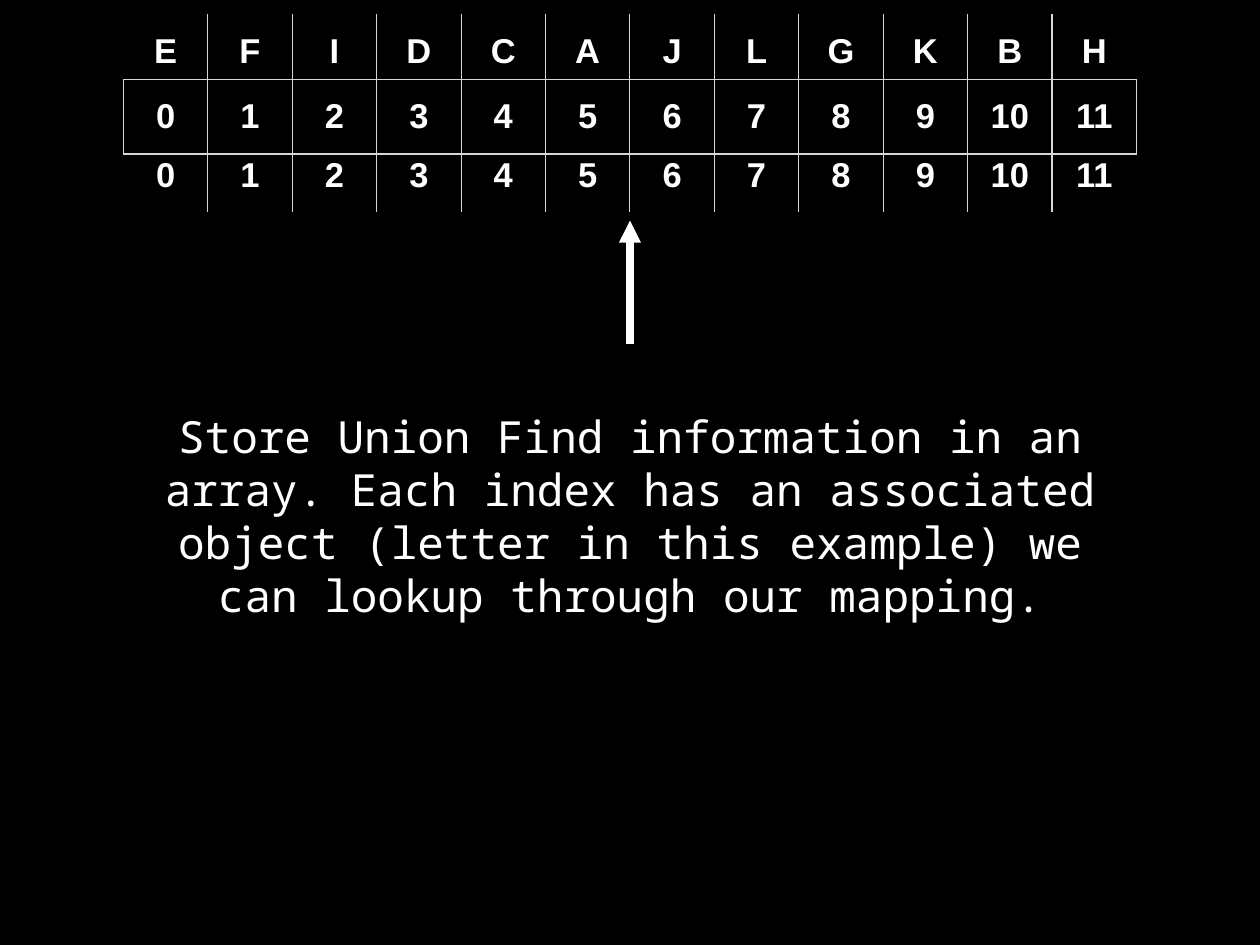
from lxml import etree
from pptx import Presentation
from pptx.dml.color import RGBColor
from pptx.enum.shapes import MSO_CONNECTOR
from pptx.enum.text import MSO_ANCHOR, PP_ALIGN
from pptx.oxml.ns import qn
from pptx.util import Inches, Pt

STRAIGHT = MSO_CONNECTOR.STRAIGHT
MIDDLE = MSO_ANCHOR.MIDDLE
CENTER = PP_ALIGN.CENTER

COLORS = {"background": "000000", "text": "FFFFFF", "border": "D6D6D6"}
CELL_FONT = {"name": "Arial", "size": Pt(28), "bold": True}
BODY_FONT = {"name": "Noto Sans Mono", "size": Pt(36)}
INSETS = {f"margin_{side}": Inches(0.06) for side in ("left", "top", "right", "bottom")}

LETTERS = "EFIDCAJLGKBH"
INDICES = [str(i) for i in range(len(LETTERS))]


def set_attrs(obj, values):
    for name, value in values.items():
        setattr(obj, name, value)


class ArraySlide:
    """Centred elements on one slide; lengths are percentages of its size."""

    def __init__(self, prs):
        self.width, self.height = prs.slide_width, prs.slide_height
        self.s = prs.slides.add_slide(prs.slide_layouts[6])
        fill = self.s.background.fill
        fill.solid()
        fill.fore_color.rgb = RGBColor.from_string(COLORS["background"])

    def x(self, share):
        return round(self.width * share / 100)

    def y(self, share):
        return round(self.height * share / 100)

    def box(self, top, width, height):
        return self.x((100 - width) / 2), self.y(top), self.x(width), self.y(height)

    def put_text(self, tf, text, font):
        p = tf.paragraphs[0]
        p.alignment = CENTER
        r = p.add_run()
        r.text = text
        set_attrs(r.font, font)
        r.font.color.rgb = RGBColor.from_string(COLORS["text"])

    def borders(self, cell, visible):
        """Draw the sides named in visible (letters of LRTB) and clear the rest."""
        tc_pr = cell._tc.get_or_add_tcPr()
        for i, side in enumerate("LRTB"):
            ln = etree.Element(qn(f"a:ln{side}"), w=str(Pt(1)))
            if side in visible:
                fill = etree.SubElement(ln, qn("a:solidFill"))
                etree.SubElement(fill, qn("a:srgbClr"), val=COLORS["border"])
            else:
                etree.SubElement(ln, qn("a:noFill"))
            tc_pr.insert(i, ln)

    def array_row(self, values, top, framed=False):
        last = len(values) - 1
        table = self.s.shapes.add_table(1, len(values), *self.box(top, 80.42, 7.87)).table
        table.first_row = table.horz_banding = False
        for i, value in enumerate(values):
            cell = table.cell(0, i)
            set_attrs(cell, INSETS)
            cell.vertical_anchor = MIDDLE
            cell.fill.background()
            self.put_text(cell.text_frame, value, CELL_FONT)
            inner = ("L" if i > 0 else "") + ("R" if i < last else "")
            self.borders(cell, "LRTB" if framed else inner)

    def up_arrow(self, bottom, top):
        arrow = self.s.shapes.add_connector(
            STRAIGHT, self.x(50), self.y(bottom), self.x(50), self.y(top))
        arrow.line.width = Pt(6)
        arrow.line.color.rgb = RGBColor.from_string(COLORS["text"])
        sp_pr = arrow._element.spPr
        etree.SubElement(sp_pr.find(qn("a:ln")), qn("a:tailEnd"), type="triangle")
        etree.SubElement(sp_pr, qn("a:effectLst"))

    def paragraph(self, text, top, width, height):
        tf = self.s.shapes.add_textbox(*self.box(top, width, height)).text_frame
        set_attrs(tf, {**INSETS, "word_wrap": True, "vertical_anchor": MIDDLE})
        self.put_text(tf, text, BODY_FONT)


def main():
    prs = Presentation()
    prs.slide_width, prs.slide_height = Inches(14.22), Inches(10.67)
    slide = ArraySlide(prs)
    slide.array_row(INDICES, top=8.43, framed=True)
    slide.array_row(LETTERS, top=1.5)
    slide.up_arrow(bottom=36.36, top=23.34)
    slide.paragraph(
        "Store Union Find information in an array. Each index has an associated "
        "object (letter in this example) we can lookup through our mapping.",
        top=43.3, width=77.22, height=22.4)
    slide.array_row(INDICES, top=14.62)
    prs.save("out.pptx")


if __name__ == "__main__":
    main()
